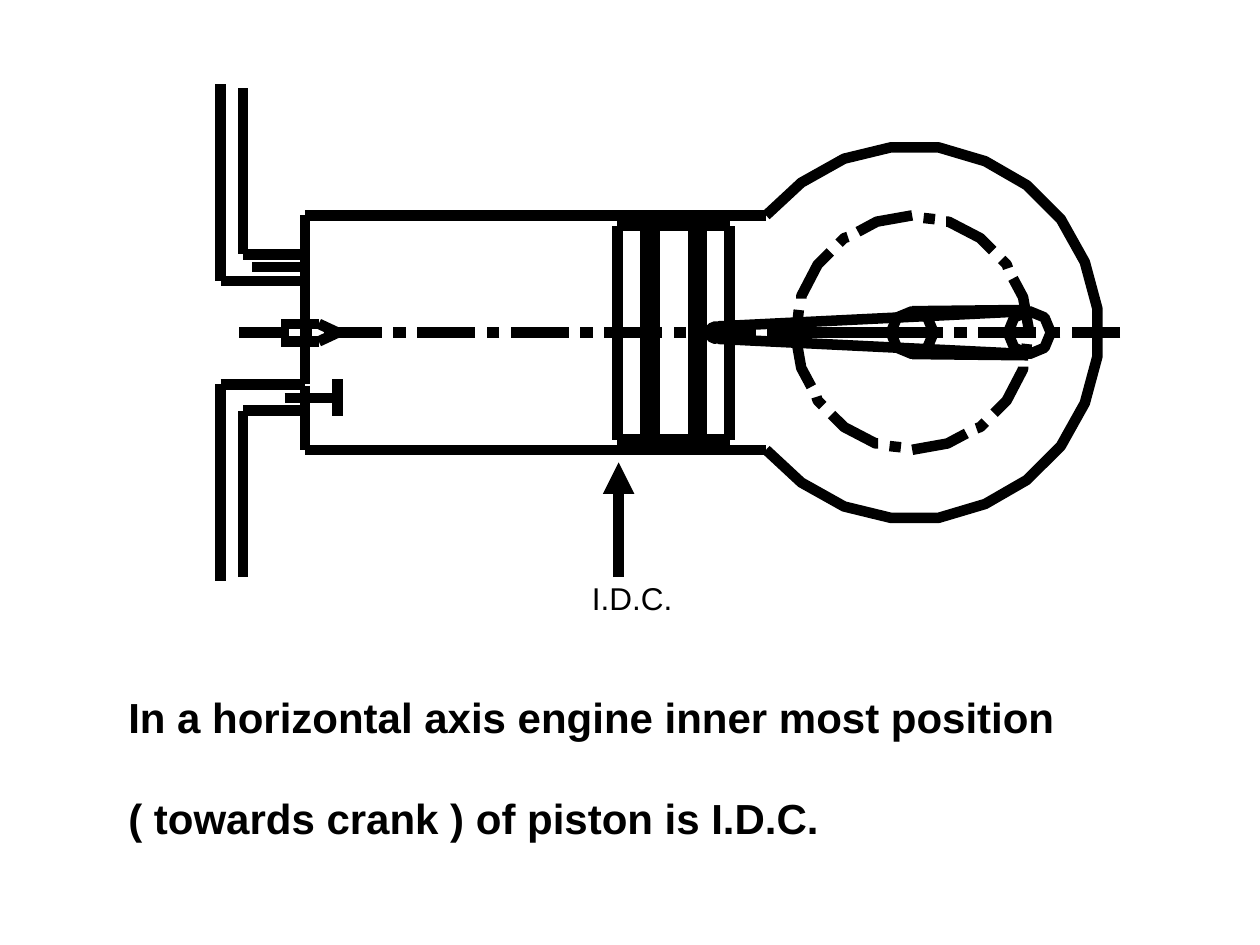
import math

from lxml import etree
from pptx import Presentation
from pptx import util as u
from pptx.dml.color import RGBColor
from pptx.enum import shapes, text
from pptx.oxml import ns

BLACK = RGBColor(0, 0, 0)
WHITE = RGBColor(255, 255, 255)
COLUMNS, ROWS = 1000, 750
AXIS = 264
CRANK = 724
BORE_TOP = 171
DASH_PITCH = 74.2


class Sketch:
    font = "Arial"
    ink = BLACK
    stroke = u.Pt(6)

    def __init__(self, deck):
        self.slide = deck.slides.add_slide(deck.slide_layouts[6])
        self.slide.background.fill.solid()
        self.slide.background.fill.fore_color.rgb = WHITE
        self.column = deck.slide_width / COLUMNS
        self.row = deck.slide_height / ROWS

    def at(self, x, y):
        return round(x * self.column), round(y * self.row)

    def ink_line(self, line):
        line.color.rgb = self.ink
        line.width = self.stroke

    def line(self, start, end, arrow=False):
        bar = self.slide.shapes.add_connector(
            shapes.MSO_CONNECTOR.STRAIGHT, *self.at(*start), *self.at(*end))
        self.ink_line(bar.line)
        if arrow:
            outline = bar.line._get_or_add_ln()
            etree.SubElement(outline, ns.qn("a:tailEnd"), type="triangle")
        etree.SubElement(bar._element.spPr, ns.qn("a:effectLst"))

    def mirrored(self, start, end):
        self.line(start, end)
        self.line(*((x, 2 * AXIS - y) for x, y in (start, end)))

    def outline(self, points, close=False):
        first, *rest = [self.at(*point) for point in points]
        builder = self.slide.shapes.build_freeform(*first)
        builder.add_line_segments(rest, close=close)
        curve = builder.convert_to_shape()
        curve.fill.background()
        curve.shadow.inherit = False
        self.ink_line(curve.line)

    def pin(self, x, radius):
        angles = [math.pi * step / 4 for step in range(8)]
        self.outline([(x + radius * math.cos(a), AXIS + radius * math.sin(a))
                      for a in angles], close=True)

    def label(self, words, x, y, width, height, size=18, bold=False,
              spacing=1.0, wrap=True):
        box = self.slide.shapes.add_textbox(
            *self.at(x, y), *self.at(width, height))
        frame = box.text_frame
        frame.word_wrap = wrap
        frame.auto_size = text.MSO_AUTO_SIZE.SHAPE_TO_FIT_TEXT
        paragraph = frame.paragraphs[0]
        paragraph.text = words
        paragraph.line_spacing = spacing
        paragraph.alignment = text.PP_ALIGN.LEFT
        for run in paragraph.runs:
            run.font.name = self.font
            run.font.size = u.Pt(size)
            run.font.bold = bold
            run.font.color.rgb = self.ink


def draw_centre_line(sketch):
    dashes = [(190, 229), (851, 889)]
    dashes += [(257 + DASH_PITCH * i, 303 + DASH_PITCH * i) for i in range(8)]
    dashes += [(238 + DASH_PITCH * i, 248 + DASH_PITCH * i) for i in range(9)]
    for left, right in sorted(dashes):
        sketch.line((right, AXIS), (left, AXIS))


def draw_cylinder(sketch):
    sketch.mirrored((608, BORE_TOP), (242, BORE_TOP))
    for top, bottom in ((BORE_TOP, 202), (223, 257)):
        sketch.mirrored((242, top), (242, bottom))
    for x, pipe_end, port in ((175, 67, 223), (193, 70, 202)):
        sketch.mirrored((x, pipe_end), (x, port))
        sketch.mirrored((x, port), (242, port))


def draw_valves_and_injector(sketch):
    for start, end in (((242, 197), (242, 227)), ((200, 212), (242, 212)),
                       ((268, 301), (268, 330)), ((226, 316), (268, 316)),
                       ((242, 306), (242, 326))):
        sketch.line(start, end)
    sketch.mirrored((268, AXIS), (253, 257))
    sketch.mirrored((253, 257), (223, 257))


def draw_piston(sketch):
    crown_top = 179
    for x, top in ((490, crown_top), (512, BORE_TOP), (520, BORE_TOP),
                   (550, BORE_TOP), (557, BORE_TOP), (579, crown_top)):
        sketch.line((x, 2 * AXIS - top), (x, top))
    for left, right in ((490, 512), (520, 550), (557, 579)):
        sketch.mirrored((left, crown_top), (right, crown_top))


def draw_crank(sketch):
    lower_case = [(608, 357), (636, 383), (670, 402), (707, 411), (745, 411),
                  (782, 400), (815, 381), (842, 354), (861, 320), (871, 283)]
    upper_case = [(x, 2 * AXIS - y) for x, y in reversed(lower_case)]
    sketch.outline(lower_case + upper_case)
    quarter_circle = [[(0, -93), (-28, -88), (-43, -80)],
                      [(-51, -76), (-54, -75), (-58, -71)],
                      [(-65, -64), (-75, -54), (-88, -29), (-88, -27)],
                      [(-90, -18), (-91, -9)]]
    for _ in range(4):
        for dash in quarter_circle:
            sketch.outline([(CRANK + x, AXIS + y) for x, y in dash])
        quarter_circle = [[(y, -x) for x, y in dash]
                          for dash in quarter_circle]
    for x, radius in ((CRANK, 17), (817, 17), (568, 5)):
        sketch.pin(x, radius)
    sketch.mirrored((815, 247), (570, 259))
    sketch.mirrored((CRANK, 247), (816, 246))
    sketch.line((CRANK, AXIS), (614, AXIS))


def main():
    deck = Presentation()
    deck.slide_width, deck.slide_height = u.Inches(10), u.Inches(7.5)
    sketch = Sketch(deck)
    for draw in (draw_centre_line, draw_cylinder, draw_valves_and_injector,
                 draw_piston, draw_crank):
        draw(sketch)
    sketch.label("In a horizontal axis engine inner most position\v"
                 "( towards crank ) of piston is I.D.C.",
                 92, 504, 883, 172, size=24, bold=True, spacing=2.0)
    sketch.line((491, 458), (491, 367), arrow=True)
    sketch.label("I.D.C.", 460, 455, 84, 40, wrap=False)
    deck.save("out.pptx")


if __name__ == "__main__":
    main()
